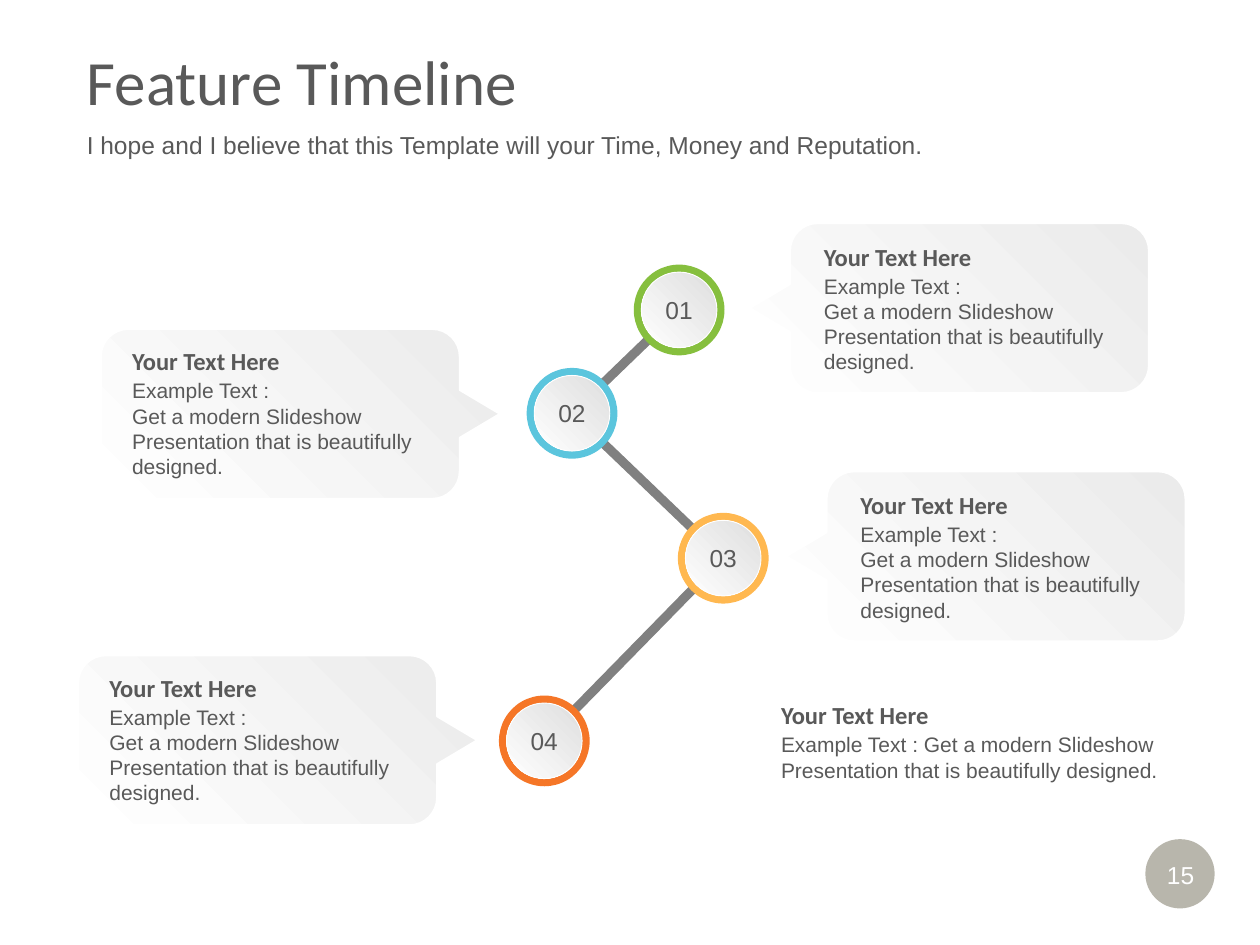
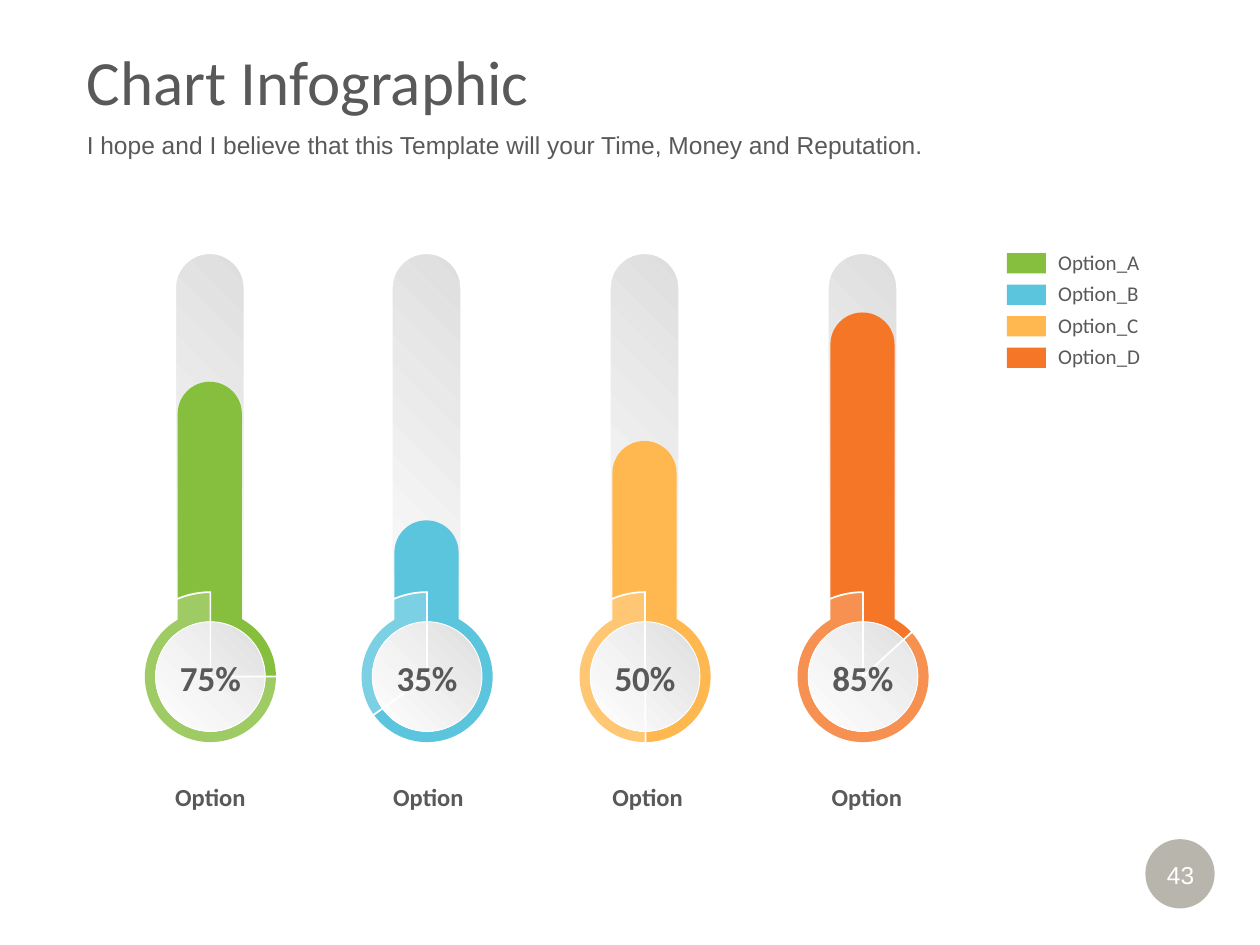
from dataclasses import dataclass
from math import hypot
from typing import NamedTuple

from lxml.etree import SubElement
from pptx import Presentation
from pptx.dml.color import RGBColor as RGB
from pptx.enum.shapes import MSO_CONNECTOR as Wire, MSO_SHAPE as Kind
from pptx.enum.text import MSO_ANCHOR as Anchor, MSO_AUTO_SIZE as Fit, PP_ALIGN as Align
from pptx.oxml.ns import qn
from pptx.shapes.autoshape import Shape
from pptx.slide import Slide
from pptx.text.text import TextFrame
from pptx.util import Inches, Pt


@dataclass(frozen=True)
class Theme:
    ink: str = "595959"
    white: str = "FFFFFF"
    wire: str = "808080"
    badge: str = "4A452A"
    shade: str = "DEDEDE"
    pale: str = "EBEBEB"
    green: str = "86BF3E"
    blue: str = "5BC5DD"
    amber: str = "FFB850"
    orange: str = "F57627"
    head: str = "Calibri"
    body: str = "Arial"
    title: int = 36
    value: int = 20
    label: int = 14
    small: int = 12


T = Theme()


class Box(NamedTuple):
    left: float
    top: float
    width: float
    height: float


class Style(NamedTuple):
    size: int
    font: str
    bold: bool = False
    color: str = T.ink
    align: Align = Align.LEFT


class Node(NamedTuple):
    x: float
    y: float
    color: str


class Callout(NamedTuple):
    left: float
    top: float
    tail: str


class Gauge(NamedTuple):
    x: float
    value: str
    color: str
    level: float
    angle: float


TITLE = Style(T.title, T.head)
INTRO = Style(T.label, T.body)
HEAD = Style(T.label, T.head, bold=True)
BODY = Style(T.small, T.body)
DIGIT = Style(T.label, T.body, align=Align.CENTER)
PAGE = DIGIT._replace(color=T.white)
VALUE = Style(T.value, T.head, bold=True, align=Align.CENTER)
OPTION = HEAD._replace(align=Align.CENTER)
KEY = Style(T.small, T.head)

TAGLINE = "I hope and I believe that this Template will your Time, Money and Reputation."
HEADING = "Your Text Here"
EXAMPLE = "Example Text :"
PITCH = "Get a modern Slideshow Presentation that is beautifully designed."

NODES = [
    Node(5.39, 2.46, T.green),
    Node(4.54, 3.28, T.blue),
    Node(5.74, 4.43, T.amber),
    Node(4.32, 5.88, T.orange),
]
RING, DISC = 0.72, 0.6

CALLOUTS = [
    Callout(6.27, 1.77, "left"),
    Callout(6.56, 3.74, "left"),
    Callout(0.8, 2.61, "right"),
    Callout(0.62, 5.2, "right"),
]
CARD_W, CARD_H, CORNER, TAIL = 2.85, 1.35, 0.22, 0.32
BEND = CORNER * 0.45  # control point distance from the square corner
PADS = {"left": (0.17, 0.1), "right": (0.15, 0.09)}

GAUGES = [
    Gauge(1.67, "75%", T.green, 2.2, 0),
    Gauge(3.39, "35%", T.blue, 1.1, 144.35),
    Gauge(5.12, "50%", T.amber, 1.73, 89.6),
    Gauge(6.85, "85%", T.orange, 2.75, 317.65),
]


def place(box: Box) -> list[int]:
    return [Inches(n) for n in box]


def around(x: float, y: float, size: float) -> Box:
    """Square box centred on a point."""
    return Box(x - size / 2, y - size / 2, size, size)


def write(frame: TextFrame, lines: list[str], style: Style) -> None:
    frame.auto_size = Fit.NONE
    for i, line in enumerate(lines):
        para = frame.paragraphs[0] if i == 0 else frame.add_paragraph()
        para.alignment = style.align
        run = para.add_run()
        run.text = line
        font = run.font
        font.size, font.name, font.bold = Pt(style.size), style.font, style.bold
        font.color.rgb = RGB.from_string(style.color)


def add_text(slide: Slide, box: Box, lines: list[str], style: Style,
             anchor: Anchor = Anchor.TOP) -> None:
    frame = slide.shapes.add_textbox(*place(box)).text_frame
    frame.word_wrap = True
    frame.vertical_anchor = anchor
    write(frame, lines, style)


def paint(shape: Shape, color: str, line: float = 0, alpha: int = 100) -> None:
    """Flat fill, with a white outline when a line width is given."""
    shape.shadow.inherit = False
    shape.fill.solid()
    shape.fill.fore_color.rgb = RGB.from_string(color)
    if alpha < 100:
        tint = next(shape._element.spPr.iter(qn("a:srgbClr")))
        SubElement(tint, qn("a:alpha")).set("val", str(alpha * 1000))
    edge(shape, line)


def edge(shape: Shape, line: float) -> None:
    if line:
        shape.line.color.rgb = RGB.from_string(T.white)
        shape.line.width = Pt(line)
    else:
        shape.line.fill.background()


def blend(shape: Shape, color: str, line: float) -> None:
    """Gradient from the colour at top right to white at bottom left."""
    shape.shadow.inherit = False
    shape.fill.gradient()
    shape.fill.gradient_angle = 225
    for stop, tone in zip(shape.fill.gradient_stops, (color, T.white)):
        stop.color.rgb = RGB.from_string(tone)
    edge(shape, line)


def add_shape(slide: Slide, kind: Kind, box: Box) -> Shape:
    return slide.shapes.add_shape(kind, *place(box))


def add_disc(slide: Slide, x: float, y: float, outer: float, inner: float,
             color: str) -> Shape:
    """Coloured ring around a grey disc; returns the disc."""
    paint(add_shape(slide, Kind.OVAL, around(x, y, outer)), color)
    disc = add_shape(slide, Kind.OVAL, around(x, y, inner))
    blend(disc, T.shade, 0.5)
    return disc


def fill_disc(disc: Shape, text: str) -> None:
    frame = disc.text_frame
    frame.margin_left = frame.margin_right = 0
    frame.margin_top = frame.margin_bottom = 0
    frame.word_wrap = False
    frame.vertical_anchor = Anchor.MIDDLE
    write(frame, [text], DIGIT)


def start_slide(deck: Presentation, title: str, page: str) -> Slide:
    """Slide with the shared title, tagline and page badge."""
    slide = deck.slides.add_slide(deck.slide_layouts.get_by_name("Title Only"))
    head = slide.shapes.title
    head.left, head.top, head.width, head.height = place(Box(0.59, 0.28, 9.41, 0.71))
    head.text_frame.vertical_anchor = Anchor.MIDDLE
    write(head.text_frame, [title], TITLE)
    add_text(slide, Box(0.59, 0.99, 9.41, 0.31), [TAGLINE], INTRO, Anchor.MIDDLE)
    paint(add_shape(slide, Kind.OVAL, Box(9.09, 6.66, 0.55, 0.55)), T.badge, alpha=39)
    add_text(slide, Box(9.15, 6.78, 0.44, 0.34), [page], PAGE)
    return slide


def add_link(slide: Slide, a: Node, b: Node) -> None:
    """Line between two nodes, from disc edge to disc edge."""
    trim = DISC / 2 / hypot(b.x - a.x, b.y - a.y)
    dx, dy = (b.x - a.x) * trim, (b.y - a.y) * trim
    ends = (a.x + dx, a.y + dy, b.x - dx, b.y - dy)
    link = slide.shapes.add_connector(Wire.STRAIGHT, *[Inches(n) for n in ends])
    link.line.color.rgb = RGB.from_string(T.wire)
    link.line.width = Pt(5.25)
    SubElement(link._element.spPr, qn("a:effectLst"))


def add_note(slide: Slide, box: Box, lines: list[str]) -> None:
    add_text(slide, box._replace(height=0.34), [HEADING], HEAD)
    add_text(slide, box._replace(top=box.top + 0.25), lines, BODY)


def curve(shape: Shape, first: int, step: int) -> None:
    """Turn three line segments of each corner into one Bezier curve."""
    lines = list(shape._element.spPr.iter(qn("a:lnTo")))
    for i in range(first, len(lines), step):
        bend, *rest = lines[i:i + 3]
        for line in rest:
            bend.append(line[0])
            line.getparent().remove(line)
        bend.tag = qn("a:cubicBezTo")


def add_callout(slide: Slide, card: Callout) -> None:
    """Rounded card with a pointed tail; traced for a left tail, then mirrored."""
    mid, half = CARD_H / 2, 0.19
    points = [(0, mid + half), (-TAIL, mid), (0, mid - half)]
    corners = [(0, 0, 0, 1, 1, 0), (CARD_W, 0, -1, 0, 0, 1),
               (CARD_W, CARD_H, 0, -1, -1, 0), (0, CARD_H, 1, 0, 0, -1)]
    for x, y, ax, ay, bx, by in corners:
        points += [(x + ax * d, y + ay * d) for d in (CORNER, BEND)]
        points += [(x + bx * d, y + by * d) for d in (BEND, CORNER)]
    if card.tail == "right":
        points = [(CARD_W - x, y) for x, y in points]
    trace = [(Inches(card.left + x), Inches(card.top + y)) for x, y in points]
    pen = slide.shapes.build_freeform(*trace[0])
    pen.add_line_segments(trace[1:], close=True)
    shape = pen.convert_to_shape()
    curve(shape, first=3, step=4)
    blend(shape, T.pale, 1.25)
    dx, dy = PADS[card.tail]
    add_note(slide, Box(card.left + dx, card.top + dy, 2.68, 0.91), [EXAMPLE, PITCH])


def add_gauge(slide: Slide, gauge: Gauge) -> None:
    """Thermometer with its bulb and value."""
    x, base, bulb = gauge.x, 5.23, 5.37
    tube = add_shape(slide, Kind.ROUNDED_RECTANGLE, Box(x - 0.28, 2.01, 0.55, 3.23))
    blend(tube, T.shade, 1)
    level = add_shape(slide, Kind.ROUNDED_RECTANGLE,
                      Box(x - 0.26, base - gauge.level, 0.51, gauge.level))
    paint(level, gauge.color)
    for bar in (tube, level):
        bar.adjustments[0] = 0.5
    add_disc(slide, x, bulb, 1.04, 0.87, gauge.color)
    pie = add_shape(slide, Kind.PIE, around(x, bulb, 1.34))
    for i, angle in enumerate((gauge.angle, 270)):
        pie.adjustments[i] = angle * 0.6
    paint(pie, T.white, line=1, alpha=20)
    add_text(slide, Box(x - 0.52, 5.16, 1.04, 0.44), [gauge.value], VALUE)


def add_key(slide: Slide, top: float, name: str, color: str) -> None:
    paint(add_shape(slide, Kind.RECTANGLE, Box(7.99, top, 0.31, 0.16)), color)
    add_text(slide, Box(8.3, top - 0.08, 1.11, 0.3), [name], KEY)


def draw_time(deck: Presentation) -> None:
    slide = start_slide(deck, "Feature Timeline", "15")
    for a, b in zip(NODES, NODES[1:]):
        add_link(slide, a, b)
    for i, node in enumerate(NODES, 1):
        disc = add_disc(slide, node.x, node.y, RING, DISC, node.color)
        fill_disc(disc, f"{i:02}")
    for card in CALLOUTS:
        add_callout(slide, card)
    add_note(slide, Box(6.1, 5.51, 3.31, 0.5), [f"{EXAMPLE} {PITCH}"])


def draw_chart(deck: Presentation) -> None:
    slide = start_slide(deck, "Chart Infographic", "43")
    for i, gauge in enumerate(GAUGES):
        add_gauge(slide, gauge)
        left = gauge.x - 0.67 + 0.01 * i
        add_text(slide, Box(left, 6.16, 1.34, 0.34), ["Option"], OPTION)
    for i, gauge in enumerate(GAUGES):
        add_key(slide, 2.01 + 0.25 * i, f"Option_{'ABCD'[i]}", gauge.color)


def main() -> None:
    deck = Presentation()
    deck.slide_width, deck.slide_height = Inches(10), Inches(7.5)
    draw_time(deck)
    draw_chart(deck)
    deck.save("out.pptx")


if __name__ == "__main__":
    main()
